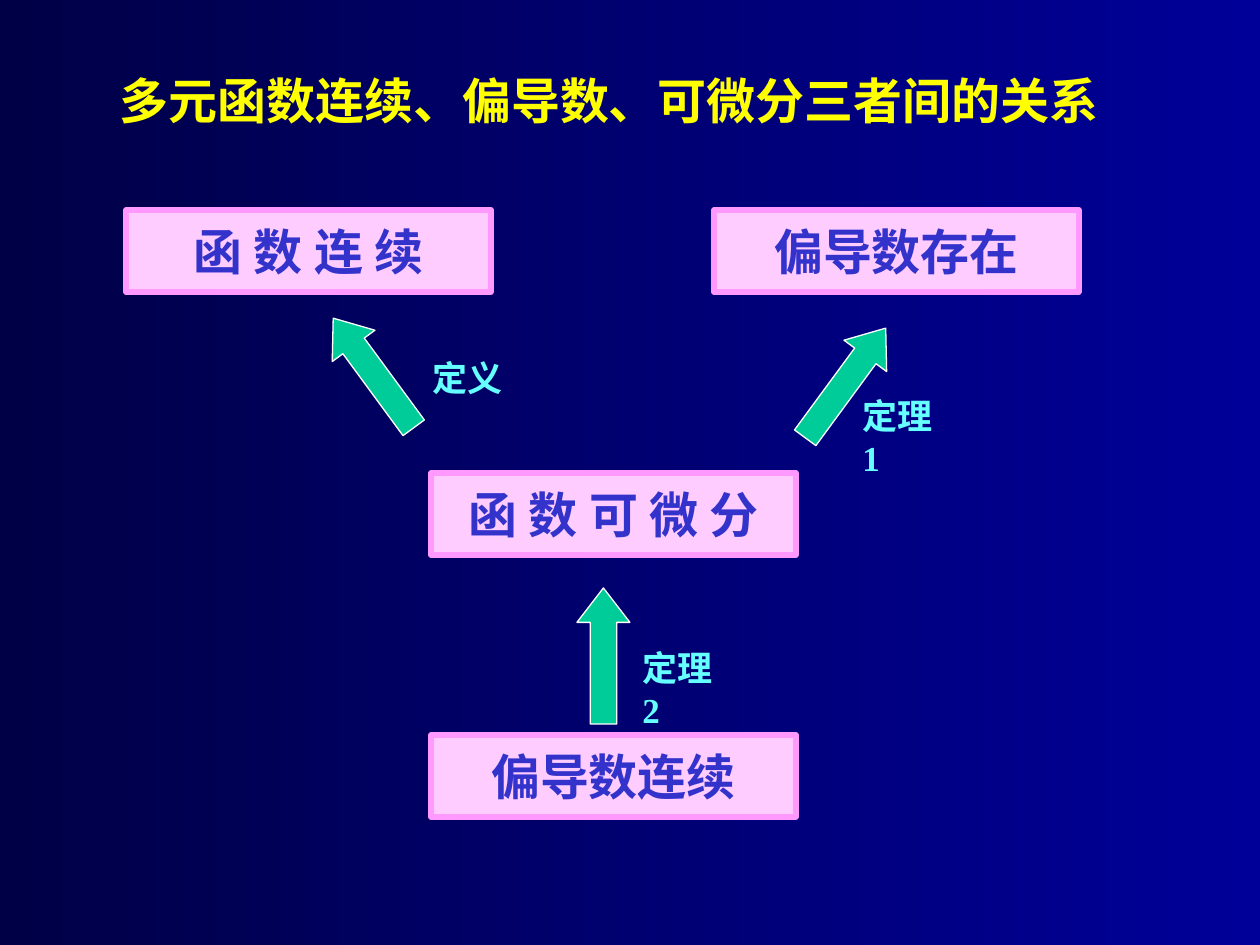
from pptx import Presentation, util as u
from pptx.dml.color import RGBColor
from pptx.enum import shapes, text

PX = 914400 // 126
FONT = "Times New Roman"


def px(n):
    return u.Emu(n * PX)


def rgb(hex_colour):
    return RGBColor.from_string(hex_colour)


def place(sp, x, y, w, h):
    sp.left, sp.top, sp.width, sp.height = px(x), px(y), px(w), px(h)


def write(sp, words, size, colour, align, anchor, wrap):
    tf = sp.text_frame
    tf.word_wrap = wrap
    tf.vertical_anchor = anchor
    p = tf.paragraphs[0]
    p.alignment = align
    r = p.add_run()
    r.text = words
    r.font.name, r.font.size, r.font.bold = FONT, u.Pt(size), True
    r.font.color.rgb = rgb(colour)


def write_centred(sp, words, colour, wrap):
    write(sp, words, 28, colour, text.PP_ALIGN.CENTER, text.MSO_ANCHOR.MIDDLE, wrap)


def preset(s, kind, x, y, w, h, fill, line, weight):
    sp = s.shapes.add_shape(kind, px(x), px(y), px(w), px(h))
    sp.shadow.inherit = False
    sp.fill.solid()
    sp.fill.fore_color.rgb = rgb(fill)
    sp.line.color.rgb = rgb(line)
    sp.line.width = u.Pt(weight)
    return sp


def concept(s, words, x, y):
    sp = preset(s, shapes.MSO_SHAPE.RECTANGLE, x, y, 365, 82, "FFCCFF", "FF99FF", 3)
    write_centred(sp, words, "3333CC", False)


def arrow(s, x, y, angle):
    sp = preset(s, shapes.MSO_SHAPE.UP_ARROW, x, y, 53, 136, "00CC99", "FFFFFF", 0.75)
    sp.adjustments[0], sp.adjustments[1] = 0.5, 0.65
    sp.rotation = angle


def label(s, words, x, y, w, wrap):
    sp = s.shapes.add_textbox(px(x), px(y), px(w), px(54))
    if wrap:
        sp.text_frame.margin_right = px(20)
    write(sp, words, 20, "66FFFF", text.PP_ALIGN.LEFT, text.MSO_ANCHOR.TOP, wrap)


def main():
    prs = Presentation()
    prs.slide_width, prs.slide_height = u.Inches(10), u.Inches(7.5)
    s = prs.slides.add_slide(prs.slide_layouts[5])

    # Background gradient, left to right
    fill = s.background.fill
    fill.gradient()
    fill.gradient_angle = 0
    for stop, position, colour in zip(fill.gradient_stops, (0, 1), ("000047", "000099")):
        stop.position = position
        stop.color.rgb = rgb(colour)

    # Title
    title = s.shapes.title
    place(title, 42, 63, 1134, 73)
    write_centred(title, "多元函数连续、偏导数、可微分三者间的关系", "FFFF00", True)

    # Concepts
    for words, x, y in (("函 数 连 续", 126, 210), ("偏导数存在", 714, 210),
                        ("函 数 可 微 分", 431, 473), ("偏导数连续", 431, 735)):
        concept(s, words, x, y)

    # Implications
    for x, y, angle in ((577, 588, 0), (347, 305, 323.7), (819, 315, 36.3)):
        arrow(s, x, y, angle)

    # Reasons beside the arrows
    for words, x, y, w, wrap in (("定义", 420, 350, 96, False),
                                 ("定理1", 850, 388, 113, True),
                                 ("定理 2", 630, 640, 122, True)):
        label(s, words, x, y, w, wrap)

    prs.save("out.pptx")


main()
